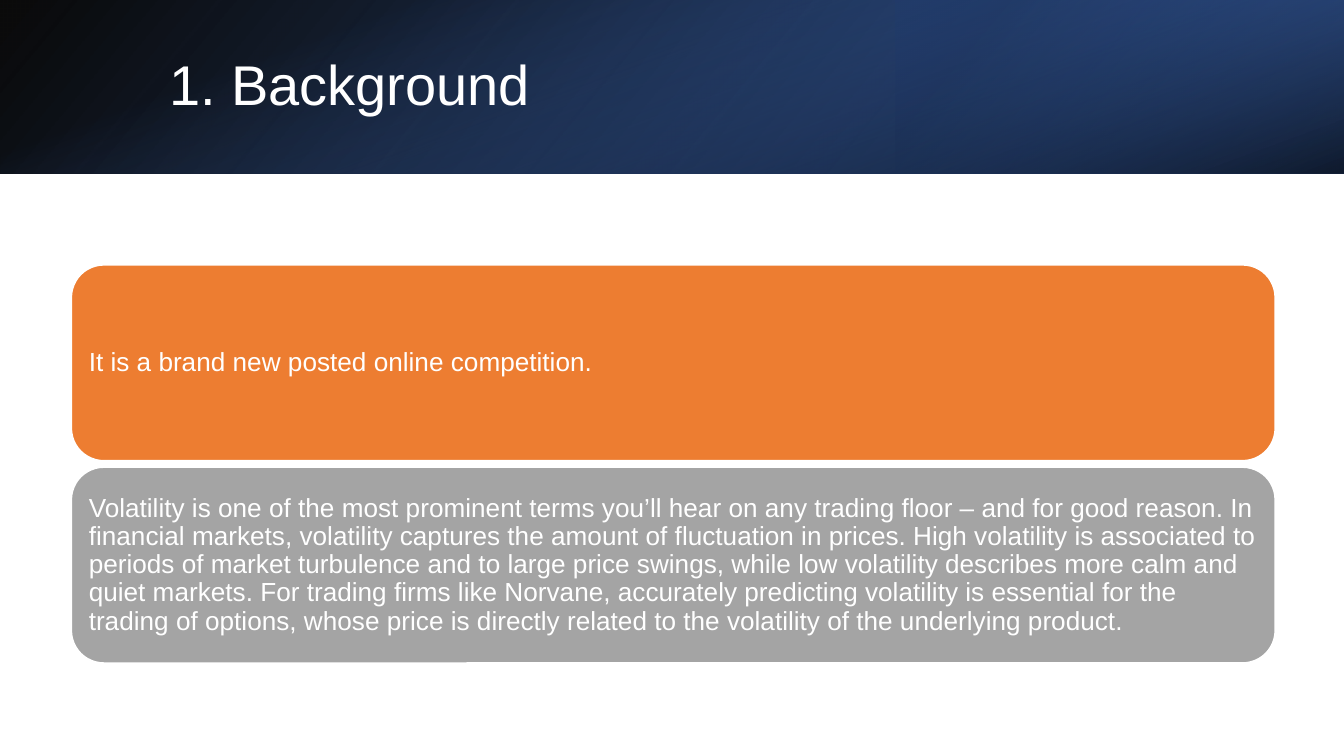
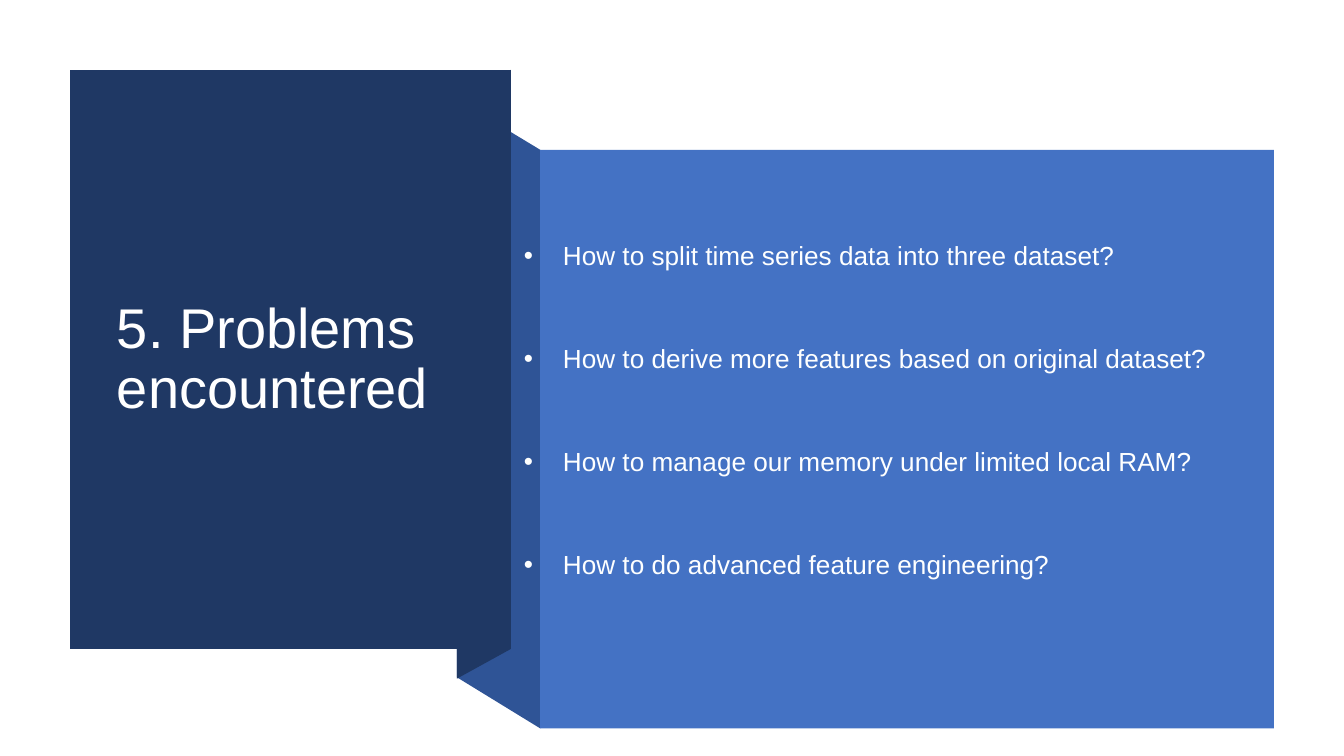
from lxml.etree import SubElement
from pptx import Presentation
from pptx.dml.color import RGBColor
from pptx.enum.shapes import MSO_SHAPE
from pptx.enum.text import MSO_ANCHOR, MSO_AUTO_SIZE, PP_ALIGN
from pptx.oxml import parse_xml
from pptx.oxml.ns import nsdecls, qn
from pptx.util import Inches, Pt

FONT = "Arial"
WHITE = "FFFFFF"
SOFT_WHITE = "FEFFFF"
BLACK = "000000"
NAVY = "1F3864"
DEEP_BLUE = "2F5496"
BLUE = "4472C4"
ORANGE = "ED7D31"
GREY = "A4A4A4"

COLUMNS, ROWS = 100, 56.25  # square cells, a tenth of an inch each
CELL = Inches(10) // COLUMNS
HEADER_ROWS = 12.9
TITLE_SIZE, TEXT_SIZE = 30, 14


def color(hex_string):
    return RGBColor.from_string(hex_string)


def cells(*lengths):
    return [round(length * CELL) for length in lengths]


def write(frame, *lines, size=TEXT_SIZE, ink=WHITE, inset=(1, 0.5),
          hang=(0, 0), gap=0, marker=None):
    """Fill a text frame; marker is a (tag, attributes) pair for the bullet."""
    frame.word_wrap = True
    frame.auto_size = MSO_AUTO_SIZE.NONE
    frame.vertical_anchor = MSO_ANCHOR.MIDDLE
    frame.margin_left, frame.margin_top = cells(*inset)
    frame.margin_right, frame.margin_bottom = cells(*inset)
    for index, line in enumerate(lines):
        paragraph = frame.add_paragraph() if index else frame.paragraphs[0]
        paragraph.alignment = PP_ALIGN.LEFT
        paragraph.line_spacing = 0.9
        paragraph.space_before = Pt(gap if index else 0)
        if marker:
            tag, attributes = marker
            properties = paragraph._p.get_or_add_pPr()
            margin, indent = cells(*hang)
            properties.set("marL", str(margin))
            properties.set("indent", str(indent))
            tint = SubElement(properties, qn("a:buClr"))
            SubElement(tint, qn("a:srgbClr"), val=ink)
            SubElement(properties, qn("a:buFont"), typeface=FONT)
            SubElement(properties, qn(tag), attributes)
        run = paragraph.add_run()
        run.text = line
        run.font.name = FONT
        run.font.size = Pt(size)
        run.font.color.rgb = color(ink)


class Deck:
    """House style plus the slide being drawn; lengths are grid cells."""

    def __init__(self):
        self.presentation = Presentation()
        self.presentation.slide_width, self.presentation.slide_height = cells(
            COLUMNS, ROWS)
        self.slide = None

    def new_slide(self):
        layout = self.presentation.slide_layouts.get_by_name("Title Only")
        self.slide = self.presentation.slides.add_slide(layout)

    def title(self, box, text, **style):
        heading = self.slide.shapes.title
        heading.left, heading.top, heading.width, heading.height = cells(*box)
        write(heading.text_frame, text, size=TITLE_SIZE, **style)
        # The title lies above everything drawn so far.
        self.slide.shapes._spTree.append(heading._element)

    def panel(self, box, fill, preset=MSO_SHAPE.RECTANGLE, outline=None):
        shape = self.slide.shapes.add_shape(preset, *cells(*box))
        return self.paint(shape, fill, outline)

    def outline_panel(self, fill, *corners):
        points = [cells(*corner) for corner in corners]
        builder = self.slide.shapes.build_freeform(*points[0])
        builder.add_line_segments(points[1:], close=True)
        return self.paint(builder.convert_to_shape(), fill)

    def paint(self, shape, fill, outline=None):
        shape.shadow.inherit = False
        shape.fill.solid()
        shape.fill.fore_color.rgb = color(fill)
        if outline:
            shape.line.color.rgb = color(outline)
            shape.line.width = Pt(1)
        else:
            shape.line.fill.background()
        return shape

    def glow(self, box, angle, *stops, rotation=0, mirrored=False):
        """Rectangle with a gradient of (position, colour, opacity) stops."""
        shape = self.panel(box, stops[0][1])
        shape.rotation = rotation
        properties = shape._element.spPr
        if mirrored:
            properties.find(qn("a:xfrm")).set("flipH", "1")
        stop_list = "".join(
            f'<a:gs pos="{at * 1000}"><a:srgbClr val="{tint}">'
            f'<a:alpha val="{opacity * 1000}"/></a:srgbClr></a:gs>'
            for at, tint, opacity in stops)
        gradient = parse_xml(
            f'<a:gradFill {nsdecls("a")} rotWithShape="1">'
            f'<a:gsLst>{stop_list}</a:gsLst>'
            f'<a:lin ang="{angle * 60000}" scaled="0"/></a:gradFill>')
        properties.replace(properties.find(qn("a:solidFill")), gradient)

    def card(self, box, fill, text):
        shape = self.panel(box, fill, MSO_SHAPE.ROUNDED_RECTANGLE, WHITE)
        write(shape.text_frame, text, inset=(0.6, 0.6))

    def bullets(self, box, *lines):
        area = self.slide.shapes.add_textbox(*cells(*box))
        write(area.text_frame, *lines, ink=SOFT_WHITE, hang=(2.9, -2.9),
              gap=40, marker=("a:buChar", {"char": "•"}))


def background_slide(deck):
    deck.new_slide()
    deck.glow((0, 0, COLUMNS, HEADER_ROWS), 140,
              (0, BLACK, 96), (100, DEEP_BLUE, 100), mirrored=True)
    third = COLUMNS / 3
    deck.glow((COLUMNS - third, 0, third, HEADER_ROWS), 320,
              (0, NAVY, 68), (19, NAVY, 68), (100, BLUE, 79),
              rotation=180, mirrored=True)
    # A quarter turn lays this upright strip over the whole header.
    overhang = (COLUMNS - HEADER_ROWS) / 2
    deck.glow((overhang, -overhang, HEADER_ROWS, COLUMNS), 340,
              (0, BLUE, 0), (23, BLUE, 0), (99, BLACK, 74), (100, BLACK, 74),
              rotation=90)
    deck.title((11.2, 2.9, 82.4, 7.2), "Background", hang=(5, -4.6),
               marker=("a:buAutoNum", {"type": "arabicPeriod"}))

    statements = (
        (ORANGE, "It is a brand new posted online competition."),
        (GREY, "Volatility is one of the most prominent terms you’ll hear on "
               "any trading floor – and for good reason. In financial markets, "
               "volatility captures the amount of fluctuation in prices. High "
               "volatility is associated to periods of market turbulence and "
               "to large price swings, while low volatility describes more "
               "calm and quiet markets. For trading firms like Norvane, "
               "accurately predicting volatility is essential for the trading "
               "of options, whose price is directly related to the volatility "
               "of the underlying product."),
    )
    for row, (fill, text) in enumerate(statements):
        deck.card((5.3, 19.7 + 15.05 * row, 89.6, 14.6), fill, text)


def problems_slide(deck):
    deck.new_slide()
    left, top, right, bottom = 5.2, 5.2, 38, 48.3
    fold, body_left, body_top, body_bottom = 34, 40.2, 11.15, 54.2
    deck.outline_panel(DEEP_BLUE, (body_left, body_bottom), (fold, 50.4),
                       (fold, 7.4), (body_left, body_top))
    deck.outline_panel(NAVY, (right, bottom), (fold, 50.5),
                       (fold, 7.3), (right, top))
    deck.outline_panel(NAVY, (left, top), (right, top),
                       (right, bottom), (left, bottom))
    deck.title((7.7, 8.1, 27.8, 37.4), "5. Problems encountered")
    deck.panel((body_left, body_top, 54.6, body_bottom - body_top), BLUE)
    deck.bullets((right, 12.8, 60.4, 35.6),
                 "How to split time series data into three dataset?",
                 "How to derive more features based on original dataset?",
                 "How to manage our memory under limited local RAM?",
                 "How to do advanced feature engineering?")


def main():
    deck = Deck()
    background_slide(deck)
    problems_slide(deck)
    deck.presentation.save("out.pptx")


if __name__ == "__main__":
    main()
